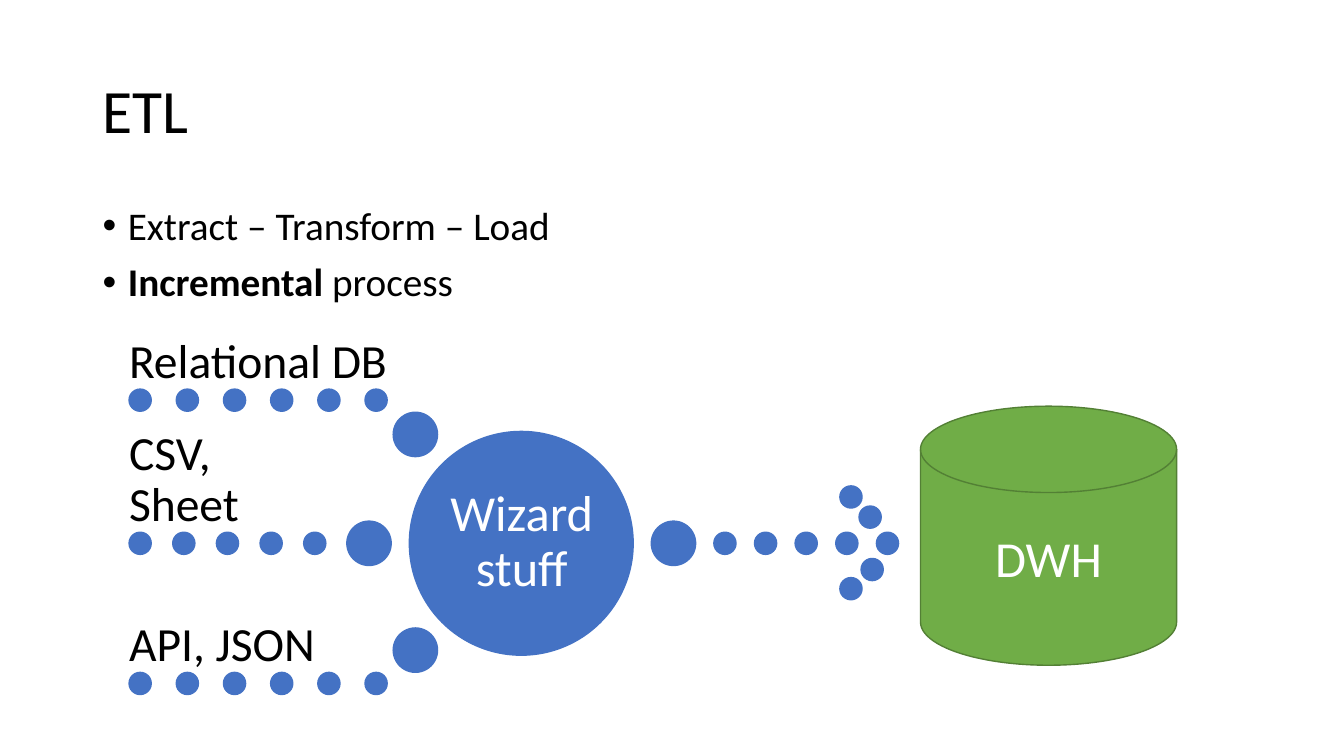
import dataclasses
import typing
import pptx
import pptx.dml.color
import pptx.enum.shapes
import pptx.enum.text
import pptx.oxml.ns
import pptx.util
import lxml.etree

CELL = 0.1
FONT = "Calibri"
BLUE, GREEN, EDGE = "4472C4", "70AD47", "538035"
BLACK, WHITE = "000000", "FFFFFF"
SMALL, LARGE = 2.2, 4.4
LEFT = 12.8
Shape = pptx.enum.shapes.MSO_SHAPE
Align = pptx.enum.text.PP_ALIGN
Anchor = pptx.enum.text.MSO_ANCHOR


@dataclasses.dataclass
class Box:
    col: float
    row: float
    wide: float
    high: float


@dataclasses.dataclass
class Run:
    text: str
    size: float
    color: str = BLACK
    bold: bool = False


@dataclasses.dataclass
class Trail:
    col: float
    row: float
    step: float
    count: int


@dataclasses.dataclass
class Source:
    name: str
    wide: float
    trail: Trail
    end: tuple[float, float]


SOURCES = [
    Source("Relational DB", 25.7, Trail(LEFT, 38.6, 4.68, 6), (39, 40.9)),
    Source("CSV, Sheet", 19.4, Trail(LEFT, 52.8, 4.33, 5), (34.4, 51.7)),
    Source("API, JSON", 25.7, Trail(LEFT, 66.7, 4.68, 6), (39, 62.3)),
]
SHAFT = Trail(70.8, 52.8, 4.03, 5)
HEAD = [(83.3, 48.2), (85.2, 50.2), (85.4, 55.4), (83.3, 57.3)]
BULLETS = [
    [Run("Extract – Transform – Load", 28)],
    [Run("Incremental", 28, bold=True), Run(" process", 28)],
]


def grid(cells: float) -> int:
    return pptx.util.Inches(cells * CELL)


def place(box: Box) -> tuple[int, int, int, int]:
    return grid(box.col), grid(box.row), grid(box.wide), grid(box.high)


def paint(code: str) -> pptx.dml.color.RGBColor:
    return pptx.dml.color.RGBColor.from_string(code)


def setup(frame: typing.Any, anchor: typing.Any, side: float = 1, top: float = 0.5) -> None:
    frame.word_wrap = True
    frame.auto_size = pptx.enum.text.MSO_AUTO_SIZE.NONE
    frame.vertical_anchor = anchor
    frame.margin_left = frame.margin_right = grid(side)
    frame.margin_top = frame.margin_bottom = grid(top)


def write(para: typing.Any, runs: list[Run], align: typing.Any = Align.LEFT, space: float = 0.9) -> None:
    para.alignment = align
    para.line_spacing = space
    for item in runs:
        run = para.add_run()
        run.text = item.text
        run.font.name = FONT
        run.font.size = pptx.util.Pt(item.size)
        run.font.bold = item.bold
        run.font.color.rgb = paint(item.color)


def bullet(para: typing.Any) -> None:
    para.space_before = pptx.util.Pt(10)
    props = para._p.get_or_add_pPr()
    props.set("marL", str(grid(2.5)))
    props.set("indent", str(-grid(2.5)))
    font = lxml.etree.SubElement(props, pptx.oxml.ns.qn("a:buFont"))
    font.set("typeface", "Arial")
    mark = lxml.etree.SubElement(props, pptx.oxml.ns.qn("a:buChar"))
    mark.set("char", "•")


def label(slide: typing.Any, box: Box, run: Run, align: typing.Any, anchor: typing.Any, inset: float) -> None:
    frame = slide.shapes.add_textbox(*place(box)).text_frame
    setup(frame, anchor, inset, inset)
    write(frame.paragraphs[0], [run], align)


def solid(slide: typing.Any, kind: typing.Any, box: Box, fill: str, edge: str) -> typing.Any:
    shape = slide.shapes.add_shape(kind, *place(box))
    shape.shadow.inherit = False
    shape.fill.solid()
    shape.fill.fore_color.rgb = paint(fill)
    shape.line.color.rgb = paint(edge)
    shape.line.width = pptx.util.Pt(1)
    return shape


def dot(slide: typing.Any, col: float, row: float, size: float = SMALL) -> None:
    solid(slide, Shape.OVAL, Box(col, row, size, size), BLUE, BLUE)


def dots(slide: typing.Any, trail: Trail) -> None:
    for spot in range(trail.count):
        dot(slide, trail.col + spot * trail.step, trail.row)


def intro(slide: typing.Any) -> None:
    title = slide.shapes.title
    title.left, title.top, title.width, title.height = place(Box(9.2, 4, 115, 14.5))
    setup(title.text_frame, Anchor.MIDDLE)
    write(title.text_frame.paragraphs[0], [Run("ETL", 44)])
    frame = slide.shapes.add_textbox(*place(Box(9.2, 20, 115, 12))).text_frame
    setup(frame, Anchor.TOP)
    for spot, runs in enumerate(BULLETS):
        para = frame.add_paragraph() if spot else frame.paragraphs[0]
        write(para, runs)
        bullet(para)


def flow(slide: typing.Any) -> None:
    dots(slide, SHAFT)
    dot(slide, 64.6, 51.7, LARGE)
    for col, row in HEAD:
        dot(slide, col, row)
    dot(slide, 40.6, 42.8, 22.2)
    label(slide, Box(43.9, 46, 15.7, 15.7), Run("Wizard stuff", 36, WHITE),
          Align.CENTER, Anchor.MIDDLE, 0.5)
    for source in SOURCES:
        dot(slide, *source.end, LARGE)
        dots(slide, source.trail)
        box = Box(LEFT, source.trail.row - 5.6, source.wide, 5.6)
        label(slide, box, Run(source.name, 34), Align.LEFT, Anchor.BOTTOM, 0)


def store(slide: typing.Any) -> None:
    disk = solid(slide, Shape.FLOWCHART_MAGNETIC_DISK, Box(91.3, 40.3, 25.4, 25.7), GREEN, EDGE)
    setup(disk.text_frame, Anchor.MIDDLE)
    write(disk.text_frame.paragraphs[0], [Run("DWH", 36, WHITE)], Align.CENTER, 1.0)


def main() -> None:
    deck = pptx.Presentation()
    deck.slide_width = pptx.util.Inches(13.33)
    deck.slide_height = pptx.util.Inches(7.5)
    slide = deck.slides.add_slide(deck.slide_layouts.get_by_name("Title Only"))
    intro(slide)
    flow(slide)
    store(slide)
    deck.save("out.pptx")


if __name__ == "__main__":
    main()
